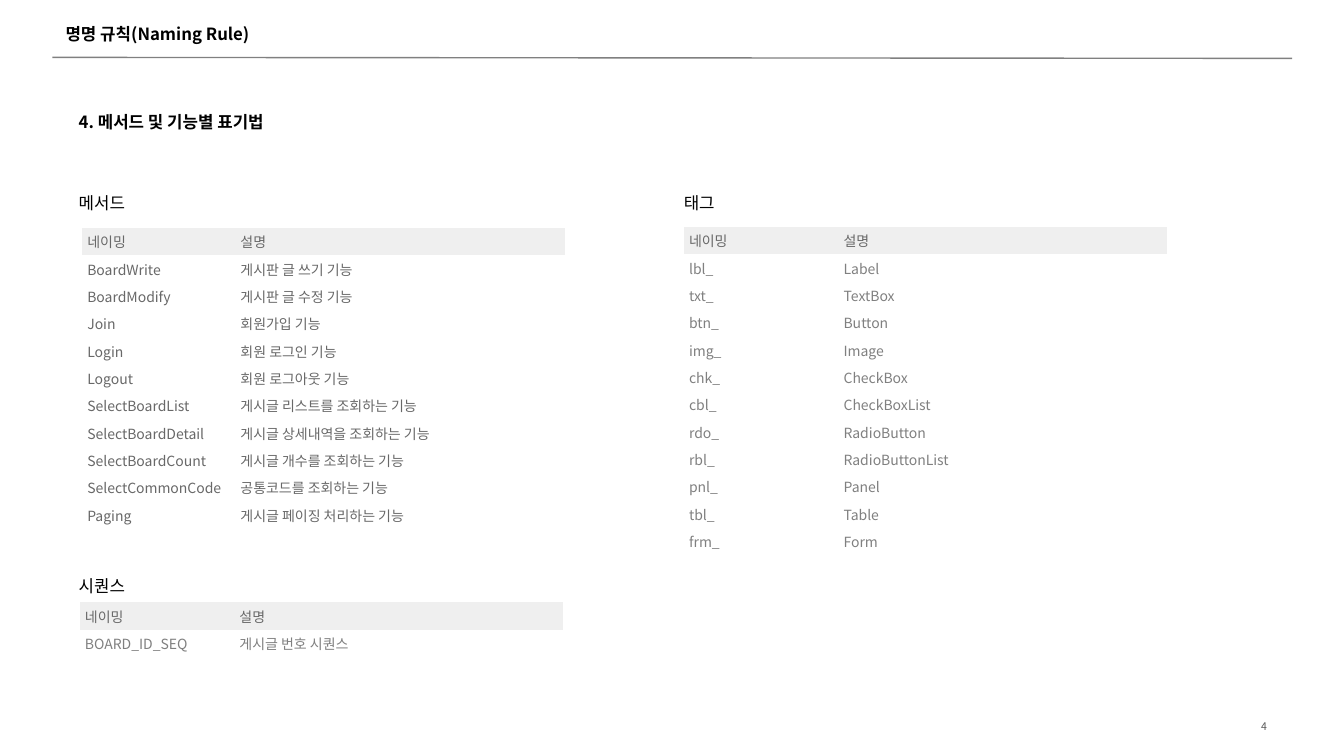
"""Build the naming rule slide for methods, tags and sequences."""
from dataclasses import dataclass

from pptx import Presentation
from pptx.dml.color import RGBColor
from pptx.enum.shapes import MSO_CONNECTOR
from pptx.enum.text import MSO_ANCHOR, PP_ALIGN
from pptx.oxml.ns import qn
from pptx.oxml.xmlchemy import OxmlElement
from pptx.util import Pt

HEADER = ("네이밍", "설명")
METHODS = [
    ("BoardWrite", "게시판 글 쓰기 기능"),
    ("BoardModify", "게시판 글 수정 기능"),
    ("Join", "회원가입 기능"),
    ("Login", "회원 로그인 기능"),
    ("Logout", "회원 로그아웃 기능"),
    ("SelectBoardList", "게시글 리스트를 조회하는 기능"),
    ("SelectBoardDetail", "게시글 상세내역을 조회하는 기능"),
    ("SelectBoardCount", "게시글 개수를 조회하는 기능"),
    ("SelectCommonCode", "공통코드를 조회하는 기능"),
    ("Paging", "게시글 페이징 처리하는 기능"),
]
TAGS = [
    ("lbl_", "Label"),
    ("txt_", "TextBox"),
    ("btn_", "Button"),
    ("img_", "Image"),
    ("chk_", "CheckBox"),
    ("cbl_", "CheckBoxList"),
    ("rdo_", "RadioButton"),
    ("rbl_", "RadioButtonList"),
    ("pnl_", "Panel"),
    ("tbl_", "Table"),
    ("frm_", "Form"),
]
SEQUENCES = [("BOARD_ID_SEQ", "게시글 번호 시퀀스")]


@dataclass(frozen=True)
class Theme:
    """Colours, font and type sizes."""
    font: str = "Noto Sans CJK KR"
    black: str = "000000"
    dark: str = "686868"
    grey: str = "808080"
    number: str = "595959"
    band: str = "EFEFEF"
    white: str = "FFFFFF"
    heading_size: float = 12
    table_size: float = 10
    number_size: float = 7.5


THEME = Theme()
ROW_HEIGHT = 19.55
TABLE_WIDTH = 344.9
LABEL_HEIGHT = 20

LABELS = [
    ("명명 규칙(Naming Rule)", 46.8, 14.5, True),
    ("4. 메서드 및 기능별 표기법", 56.2, 77, True),
    ("메서드", 56.2, 135, False),
    ("태그", 488.4, 135, False),
    ("시퀀스", 56.2, 408.5, False),
]
TABLES = [
    (METHODS, 58.8, 162.9, 109.4, THEME.dark),
    (TAGS, 488.6, 162.2, 110.4, THEME.grey),
    (SEQUENCES, 57.1, 430.2, 110.4, THEME.grey),
]


def write_text(frame, text, *, size, color, bold=False, align=PP_ALIGN.LEFT):
    """Put one formatted line into a text frame."""
    paragraph = frame.paragraphs[0]
    paragraph.alignment = align
    run = paragraph.add_run()
    run.text = text
    run.font.size = Pt(size)
    run.font.bold = bold
    run.font.color.rgb = RGBColor.from_string(color)
    run.font.name = THEME.font
    east_asian = OxmlElement("a:ea")
    east_asian.set("typeface", THEME.font)
    run.font._element.find(qn("a:latin")).addnext(east_asian)


def add_label(slide, text, left, top, width, **text_format):
    """Add a vertically centred text box without insets."""
    shape = slide.shapes.add_textbox(Pt(left), Pt(top), Pt(width), Pt(LABEL_HEIGHT))
    frame = shape.text_frame
    frame.word_wrap = True
    frame.vertical_anchor = MSO_ANCHOR.MIDDLE
    frame.margin_left = frame.margin_right = frame.margin_top = frame.margin_bottom = 0
    write_text(frame, text, **text_format)


def add_naming_table(slide, entries, left, top, name_width, body_color):
    """Add a two-column table under a grey header row."""
    rows = [HEADER, *entries]
    table = slide.shapes.add_table(
        len(rows), len(HEADER), Pt(left), Pt(top), Pt(TABLE_WIDTH), Pt(ROW_HEIGHT * len(rows))
    ).table
    table.first_row = table.horz_banding = False
    style = table._tbl.tblPr.find(qn("a:tableStyleId"))
    style.text = "{2D5ABB26-0587-4C30-8999-92F81FD0307C}"
    for column, width in zip(table.columns, (name_width, TABLE_WIDTH - name_width)):
        column.width = Pt(width)
    for row_index, values in enumerate(rows):
        table.rows[row_index].height = Pt(ROW_HEIGHT)
        is_header = row_index == 0
        for column_index, value in enumerate(values):
            cell = table.cell(row_index, column_index)
            cell.fill.solid()
            cell.fill.fore_color.rgb = RGBColor.from_string(THEME.band if is_header else THEME.white)
            cell.vertical_anchor = MSO_ANCHOR.MIDDLE
            cell.margin_left = cell.margin_right = Pt(3.6)
            cell.margin_top = cell.margin_bottom = Pt(2.5)
            write_text(cell.text_frame, value, size=THEME.table_size,
                       color=THEME.dark if is_header else body_color)


def add_title_rule(slide):
    """Draw the thin line below the title."""
    rule = slide.shapes.add_connector(MSO_CONNECTOR.STRAIGHT, Pt(37.4), Pt(41), Pt(923), Pt(41.7))
    rule.line.color.rgb = RGBColor.from_string(THEME.grey)
    rule.line.width = Pt(1)
    rule._element.spPr.append(OxmlElement("a:effectLst"))


def main():
    """Build and save the presentation."""
    presentation = Presentation()
    presentation.slide_width, presentation.slide_height = Pt(960), Pt(540)
    slide = presentation.slides.add_slide(presentation.slide_layouts[6])
    add_title_rule(slide)
    for text, left, top, bold in LABELS:
        add_label(slide, text, left, top, 300,
                  size=THEME.heading_size, color=THEME.black, bold=bold)
    add_label(slide, "4", 805, 509, 100, size=THEME.number_size,
              color=THEME.number, align=PP_ALIGN.RIGHT)
    for naming_table in TABLES:
        add_naming_table(slide, *naming_table)
    presentation.save("out.pptx")


if __name__ == "__main__":
    main()
